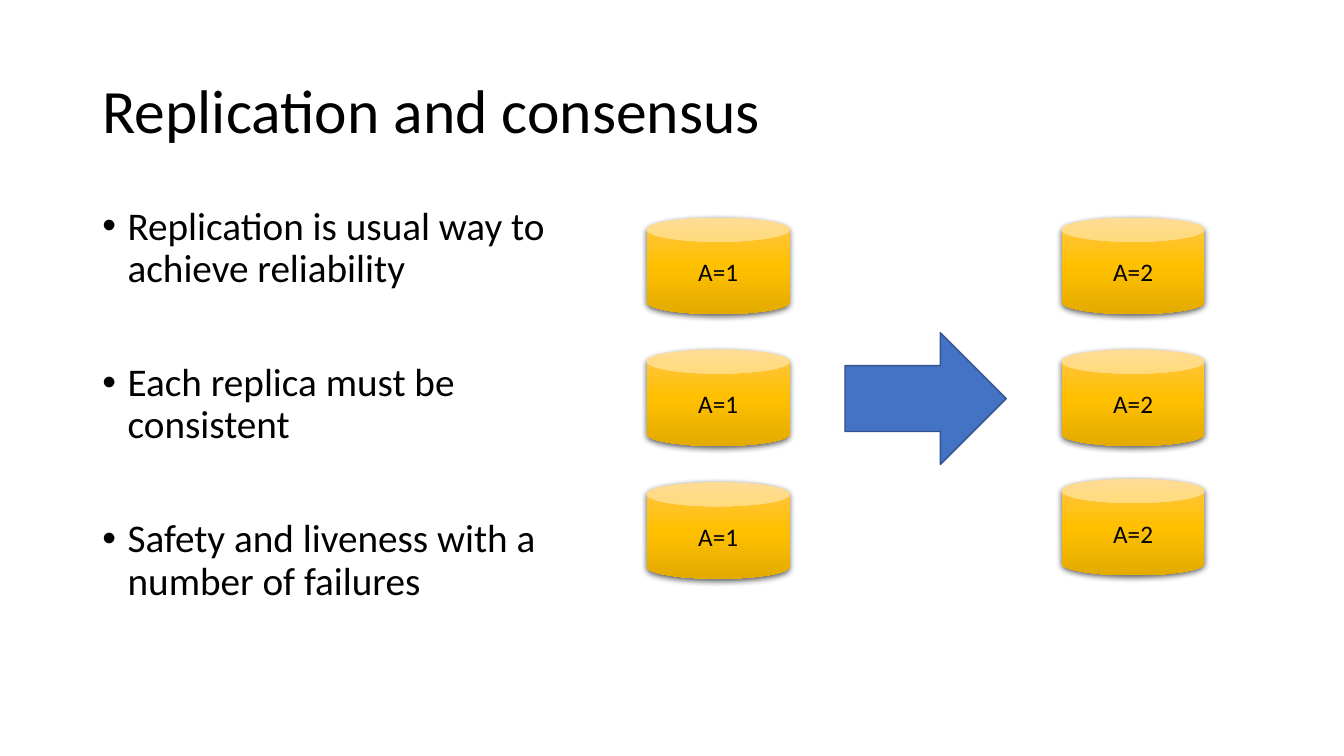
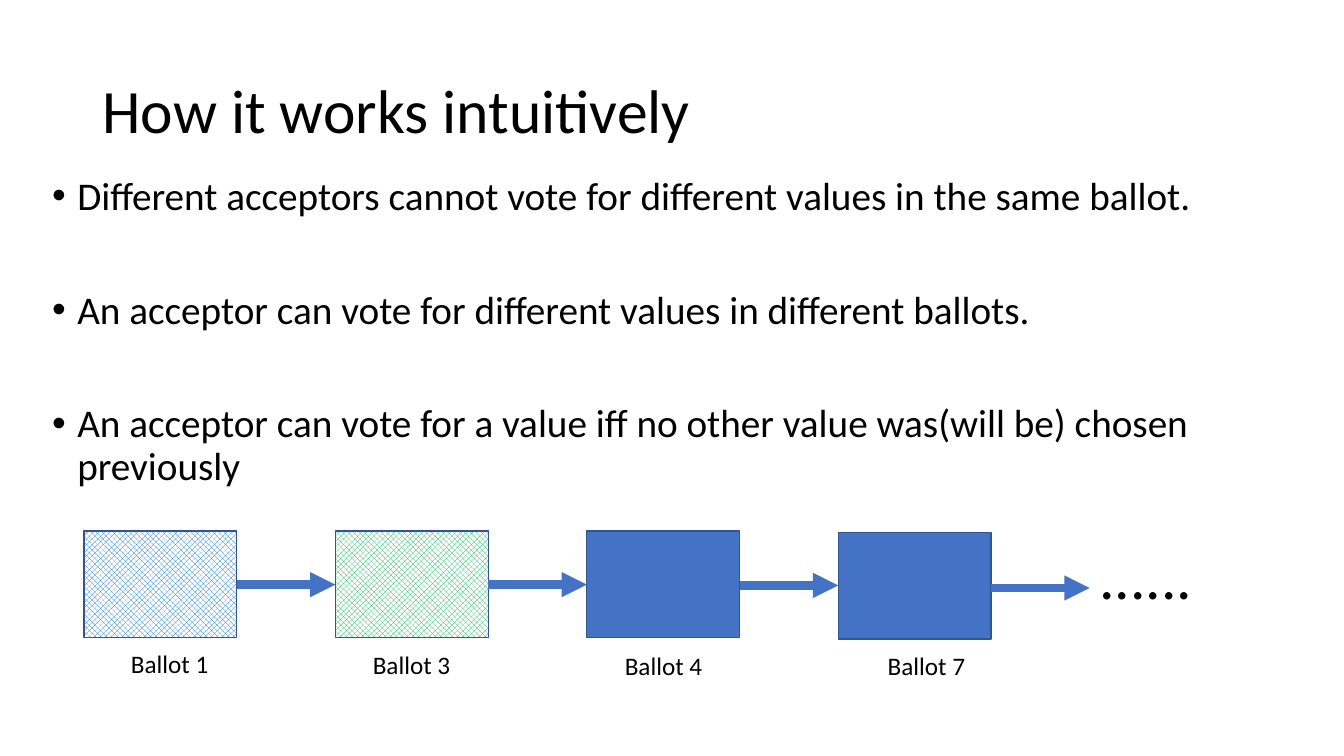
import pptx
import pptx.dml.color
import pptx.enum.dml
import pptx.enum.shapes
import pptx.enum.text
import pptx.oxml
import pptx.oxml.ns
import pptx.util

RGB = pptx.dml.color.RGBColor
SHAPE = pptx.enum.shapes.MSO_SHAPE
ALIGN = pptx.enum.text.PP_ALIGN
ANCHOR = pptx.enum.text.MSO_ANCHOR
FIT = pptx.enum.text.MSO_AUTO_SIZE
Pt = pptx.util.Pt

BLACK = RGB(0x00, 0x00, 0x00)
WHITE = RGB(0xFF, 0xFF, 0xFF)
BLUE = RGB(0x44, 0x72, 0xC4)
DARK_BLUE = RGB(0x32, 0x54, 0x91)
SKY = RGB(0x00, 0x70, 0xC0)
GREEN = RGB(0x00, 0xB0, 0x50)
LIGHT_GOLD = RGB(0xFF, 0xC6, 0x4B)
GOLD = RGB(0xFF, 0xC0, 0x00)
DARK_GOLD = RGB(0xE3, 0xAB, 0x00)

FONT = "Calibri"
TITLE_SIZE, BODY_SIZE, LABEL_SIZE = 44, 28, 18
FIRST_GAP, BULLET_GAP = 10, 51
WIDTH, HEIGHT = pptx.util.Inches(13.333), pptx.util.Inches(7.5)
COLUMNS, ROWS = 160, 90
TITLE_AREA = (11, 4.8, 138, 17.4)


def x(columns):
    """Turn grid columns into a length."""
    return round(WIDTH * columns / COLUMNS)


def y(rows):
    """Turn grid rows into a length."""
    return round(HEIGHT * rows / ROWS)


def grid(left, top, width, height):
    """Turn a grid area into left, top, width and height."""
    return x(left), y(top), x(width), y(height)


def place(placeholder, area):
    """Move a placeholder to a grid area."""
    (placeholder.left, placeholder.top,
     placeholder.width, placeholder.height) = grid(*area)


def write(frame, lines, size=LABEL_SIZE, align=ALIGN.CENTER, anchor=ANCHOR.MIDDLE,
          spacing=None, gaps=None, indent=None, wrap=True, fit=FIT.NONE):
    """Write lines as formatted paragraphs of a text frame."""
    frame.word_wrap = wrap
    frame.auto_size = fit
    frame.vertical_anchor = anchor
    for number, line in enumerate(lines):
        paragraph = frame.paragraphs[0] if number == 0 else frame.add_paragraph()
        paragraph.alignment = align
        paragraph.line_spacing = spacing
        if gaps:
            paragraph.space_before = Pt(gaps[min(number, 1)])
        if indent:
            properties = paragraph._p.get_or_add_pPr()
            properties.set("marL", str(indent))
            properties.set("indent", str(-indent))
        run = paragraph.add_run()
        run.text = line
        run.font.name = FONT
        run.font.size = Pt(size)
        run.font.color.rgb = BLACK


def add_titled_slide(deck, title, bullets, bullet_area):
    """Add a slide with a title and a spaced bullet list."""
    slide = deck.slides.add_slide(deck.slide_layouts[1])
    heading, body = slide.placeholders
    place(heading, TITLE_AREA)
    write(heading.text_frame, [title], size=TITLE_SIZE, align=ALIGN.LEFT, spacing=0.9)
    place(body, bullet_area)
    write(body.text_frame, bullets, size=BODY_SIZE, align=ALIGN.LEFT,
          anchor=ANCHOR.TOP, spacing=0.9, gaps=(FIRST_GAP, BULLET_GAP),
          indent=pptx.util.Inches(0.25))
    return slide


def add_block(slide, kind, area, color, checked=False):
    """Add an outlined shape with a plain or checked fill."""
    block = slide.shapes.add_shape(kind, *grid(*area))
    block.shadow.inherit = False
    if checked:
        block.fill.patterned()
        block.fill.pattern = pptx.enum.dml.MSO_PATTERN.LARGE_CHECKER_BOARD
        block.fill.fore_color.rgb = color
        block.fill.back_color.rgb = WHITE
    else:
        block.fill.solid()
        block.fill.fore_color.rgb = color
    block.line.color.rgb = DARK_BLUE
    block.line.width = Pt(1)


def add_replica(slide, left, top, value):
    """Add a golden database can that holds a value."""
    replica = slide.shapes.add_shape(SHAPE.CAN, *grid(left, top, 17, 11.5))
    replica.line.fill.background()
    replica.fill.gradient()
    replica.shadow.inherit = False
    namespace = pptx.oxml.ns.nsdecls("a")
    stops = "".join(
        f'<a:gs pos="{share * 1000}"><a:srgbClr val="{color}"/></a:gs>'
        for share, color in ((0, LIGHT_GOLD), (50, GOLD), (100, DARK_GOLD)))
    properties = replica._element.spPr
    old_fill = properties.find(pptx.oxml.ns.qn("a:gradFill"))
    properties.replace(old_fill, pptx.oxml.parse_xml(
        f'<a:gradFill {namespace} rotWithShape="1"><a:gsLst>{stops}</a:gsLst>'
        '<a:lin ang="5400000" scaled="0"/></a:gradFill>'))
    properties.find(pptx.oxml.ns.qn("a:effectLst")).append(pptx.oxml.parse_xml(
        f'<a:outerShdw {namespace} blurRad="{Pt(4.5)}" dist="{Pt(1.5)}" dir="5400000" '
        'algn="ctr" rotWithShape="0"><a:srgbClr val="000000">'
        '<a:alpha val="63000"/></a:srgbClr></a:outerShdw>'))
    write(replica.text_frame, [value])


def add_arrow(slide, start, end, row):
    """Add a thick horizontal arrow between two columns."""
    arrow = slide.shapes.add_connector(
        pptx.enum.shapes.MSO_CONNECTOR.STRAIGHT, x(start), y(row), x(end), y(row))
    arrow.line.color.rgb = BLUE
    arrow.line.width = Pt(6)
    namespace = pptx.oxml.ns.nsdecls("a")
    arrow.line._get_or_add_ln().append(
        pptx.oxml.parse_xml(f'<a:tailEnd {namespace} type="triangle"/>'))
    arrow._element.spPr.append(pptx.oxml.parse_xml(f"<a:effectLst {namespace}/>"))


def add_label(slide, area, text, **style):
    """Add a text box that does not wrap."""
    label = slide.shapes.add_textbox(*grid(*area))
    write(label.text_frame, [text], anchor=ANCHOR.TOP, wrap=False,
          fit=FIT.SHAPE_TO_FIT_TEXT, **style)


def build_replication(deck):
    """Show three replicas that move from one value to the next."""
    slide = add_titled_slide(deck, "Replication and consensus", [
        "Replication is usual way to achieve reliability",
        "Each replica must be consistent",
        "Safety and liveness with a number of failures",
    ], (11, 24, 59.5, 57.1))
    for left, value, tops in ((77, "A=1", (25.9, 41.6, 57.4)),
                              (126.4, "A=2", (25.9, 41.6, 57))):
        for top in tops:
            add_replica(slide, left, top, value)
    add_block(slide, SHAPE.RIGHT_ARROW, (100.6, 39.6, 19.2, 15.7), BLUE)


def build_ballots(deck):
    """Show the voting rules and a chain of ballots."""
    slide = add_titled_slide(deck, "How it works intuitively", [
        "Different acceptors cannot vote for different values in the same ballot.",
        "An acceptor can vote for different values in different ballots.",
        "An acceptor can vote for a value iff no other value was(will be) chosen previously",
    ], (5, 20.4, 142.1, 44.5))
    first, pitch, width = 10, 29.93, 18.2
    ballots = (
        ("Ballot 1", SKY, True, 63.2, 69.6, 14.3, 76.6),
        ("Ballot 3", GREEN, True, 63.2, 69.6, 43.1, 76.7),
        ("Ballot 4", BLUE, False, 63.2, 69.7, 73.1, 76.8),
        ("Ballot 7", BLUE, False, 63.4, 70, 104.4, 76.8),
    )
    for number, (name, color, checked, top, arrow_row, name_left, name_top) in enumerate(ballots):
        left = first + number * pitch
        add_block(slide, SHAPE.RECTANGLE, (left, top, width, 12.7), color, checked)
        add_arrow(slide, left + width, left + pitch, arrow_row)
        add_label(slide, (name_left, name_top, 11.8, 4.8), name)
    add_label(slide, (129.7, 63.4, 13.7, 10.1), "......", size=TITLE_SIZE, align=ALIGN.LEFT)


def main():
    """Build the deck and save it."""
    deck = pptx.Presentation()
    deck.slide_width, deck.slide_height = WIDTH, HEIGHT
    build_replication(deck)
    build_ballots(deck)
    deck.save("out.pptx")


main()
